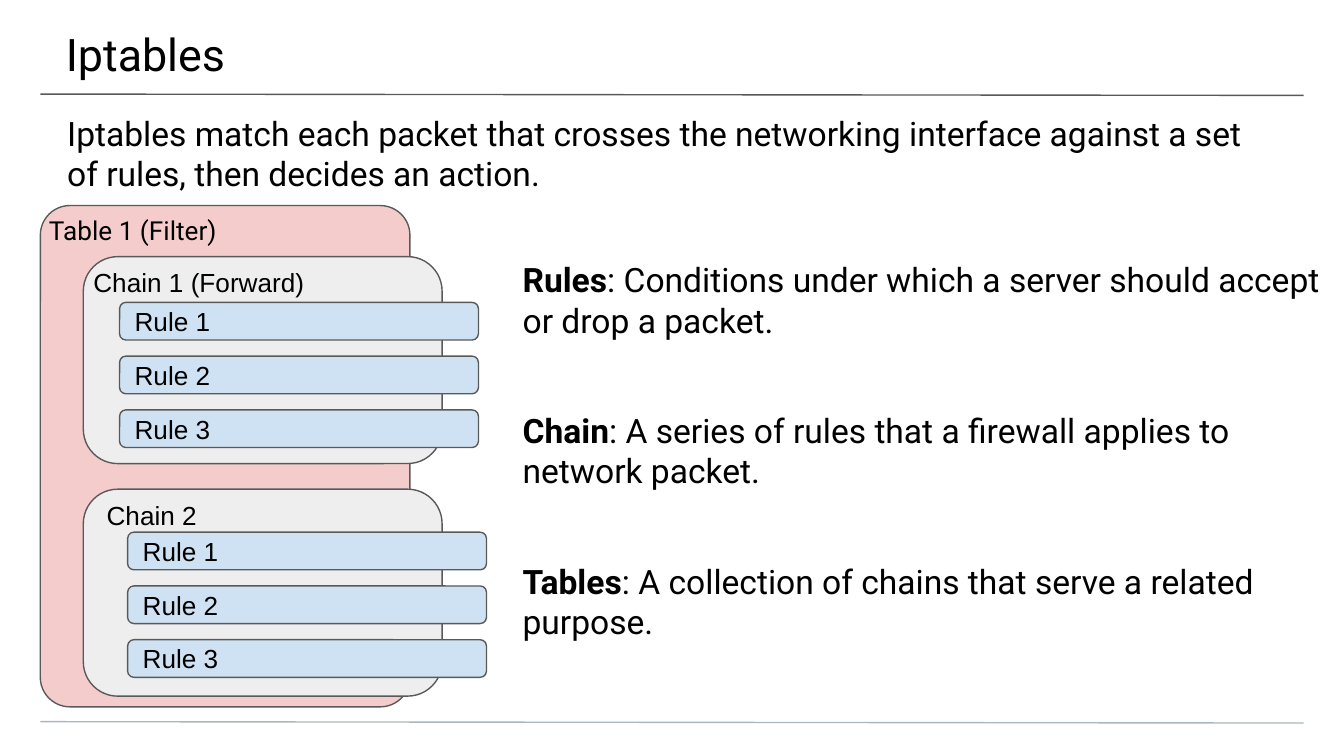
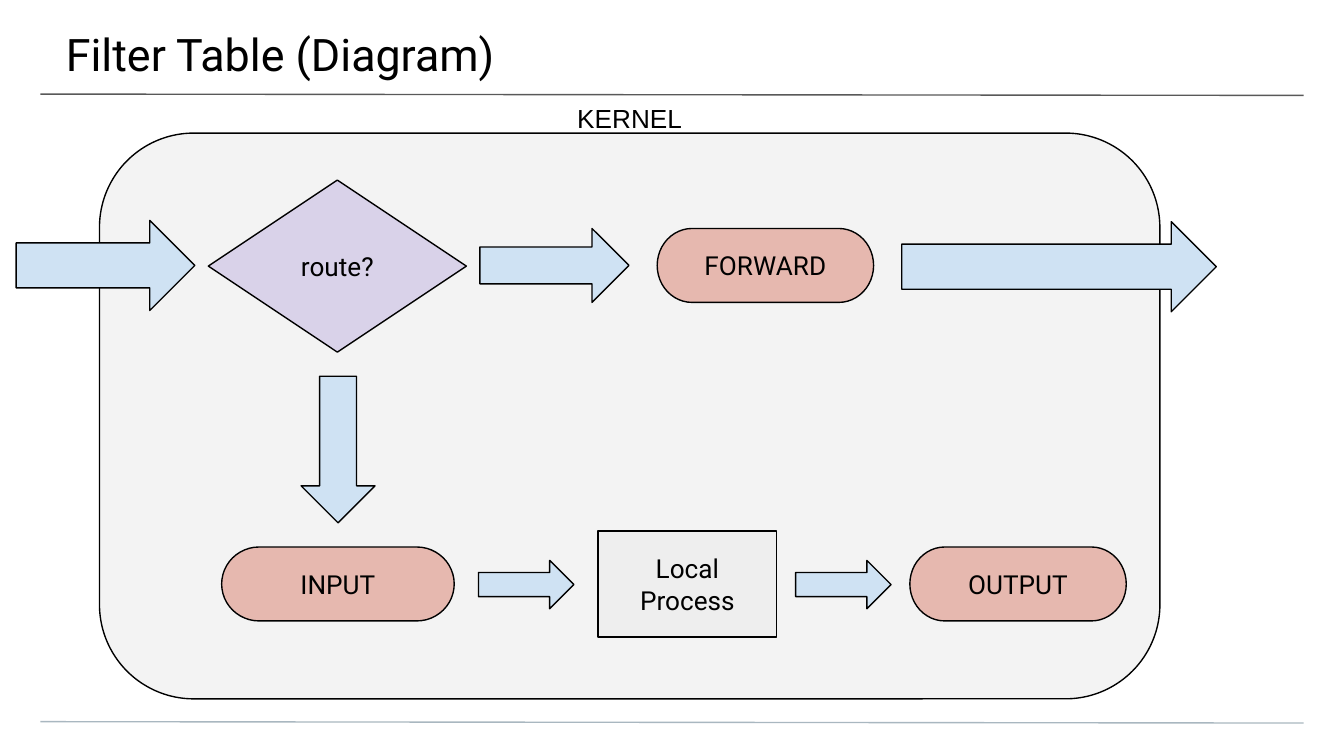
"""Builds two slides on iptables: its building blocks and the filter table diagram."""
from pptx import Presentation, util as u
from pptx.dml.color import RGBColor
from pptx.enum import shapes, text
from pptx.oxml.ns import qn
from lxml import etree

rgb = RGBColor.from_string
BLACK, GREY, FOOTER = "000000", "595959", "A9B7C0"
BLUE, PINK, PURPLE, RED = "CFE2F3", "F4CCCC", "D9D2E9", "E6B8AF"
PANEL, KERNEL = "EEEEEE", "F3F3F3"
KIND = shapes.MSO_SHAPE
LEFT, CENTER = text.PP_ALIGN.LEFT, text.PP_ALIGN.CENTER
TOP, MIDDLE = text.MSO_ANCHOR.TOP, text.MSO_ANCHOR.MIDDLE
EVEN = (0.1, 0.1, 0.1, 0.1)


def format_text(sp, size=14, font="Roboto", inset=EVEN, align=LEFT, anchor=TOP):
    tf = sp.text_frame
    tf.word_wrap = True
    tf.vertical_anchor = anchor
    tf.margin_left, tf.margin_top, tf.margin_right, tf.margin_bottom = map(u.Inches, inset)
    for p in tf.paragraphs:
        p.alignment = align
        for r in p.runs:
            r.font.size = u.Pt(size)
            r.font.name = font
            r.font.color.rgb = rgb(BLACK)


def add_box(s, kind, at, fill, line=BLACK, label=""):
    sp = s.shapes.add_shape(kind, *map(u.Inches, at))
    sp.shadow.inherit = False
    sp.fill.solid()
    sp.fill.fore_color.rgb = rgb(fill)
    sp.line.color.rgb = rgb(line)
    sp.line.width = u.Pt(0.75)
    if label:
        sp.text_frame.text = label
    return sp


prs = Presentation()
prs.slide_width = u.Inches(10)
prs.slide_height = prs.slide_width * 9 // 16

for title in ("Iptables", "Filter Table (Diagram)"):
    s = prs.slides.add_slide(prs.slide_layouts[6])
    for y, color in ((0.7, GREY), (5.37, FOOTER)):
        ends = map(u.Inches, (0.3, y, 9.7, y + 0.01))
        rule = s.shapes.add_connector(shapes.MSO_CONNECTOR.STRAIGHT, *ends)
        rule.line.color.rgb = rgb(color)
        rule.line.width = u.Pt(0.75)
        etree.SubElement(rule._element.spPr, qn("a:effectLst"))
    sp = s.shapes.add_textbox(*map(u.Inches, (-0.01, 0, 10.03, 0.58)))
    sp.text_frame.text = title
    format_text(sp, 24, inset=(0.5, 0.2, 0.3, 0.1))

iptables, diagram = prs.slides

s = iptables
sp = s.shapes.add_textbox(*map(u.Inches, (0, 0.74, 10, 0.4)))
sp.text_frame.text = (
    "Iptables match each packet that crosses the networking interface "
    "against a set of rules, then decides an action."
)
format_text(sp, 18, inset=(0.5, 0.1, 0.5, 0))

sp = s.shapes.add_textbox(*map(u.Inches, (3.79, 1.53, 6.21, 3.84)))
definitions = (
    ("Rules", "Conditions under which a server should accept or drop a packet."),
    ("Chain", "A series of rules that a firewall applies to network packet."),
    ("Tables", "A collection of chains that serve a related purpose."),
)
tf = sp.text_frame
for i, (term, meaning) in enumerate(definitions):
    p = tf.add_paragraph() if i else tf.paragraphs[0]
    if i:
        p.space_before = u.Pt(37.5)
    r = p.add_run()
    r.text = term
    r.font.bold = True
    p.add_run().text = f": {meaning}"
format_text(sp, 18, inset=(0.1, 0.4, 0.1, 0.1))

sp = add_box(s, KIND.ROUNDED_RECTANGLE, (0.3, 1.53, 2.75, 3.73), PINK, GREY, "Table 1 (Filter)")
sp.adjustments[0] = 0.08
format_text(sp, inset=(0, 0, 0, 0))

chains = (
    ("Chain 1 (Forward)", 1.91, 0.89, 2.25, (0, 0, 0, 0)),
    ("Chain 2", 3.64, 0.95, 3.96, (0.1, 0, 0.1, 0.1)),
)
for label, top, rule_left, rule_top, inset in chains:
    sp = add_box(s, KIND.ROUNDED_RECTANGLE, (0.62, top, 2.67, 1.54), PANEL, GREY, label)
    format_text(sp, font="Arial", inset=inset)
    for i in range(3):
        at = (rule_left, rule_top + 0.4 * i, 2.67, 0.28)
        sp = add_box(s, KIND.ROUNDED_RECTANGLE, at, BLUE, GREY, f"Rule {i + 1}")
        format_text(sp, font="Arial", anchor=MIDDLE)

s = diagram
add_box(s, KIND.ROUNDED_RECTANGLE, (0.74, 0.99, 7.89, 4.21), KERNEL)

steps = (
    ("route?", KIND.FLOWCHART_DECISION, (1.55, 1.34, 1.92, 1.28), PURPLE, (0, 0.1, 0, 0.1)),
    ("FORWARD", KIND.FLOWCHART_TERMINATOR, (4.89, 1.7, 1.61, 0.55), RED, EVEN),
    ("INPUT", KIND.FLOWCHART_TERMINATOR, (1.65, 4.07, 1.73, 0.55), RED, EVEN),
    ("OUTPUT", KIND.FLOWCHART_TERMINATOR, (6.77, 4.07, 1.61, 0.55), RED, EVEN),
    ("Local Process", KIND.RECTANGLE, (4.45, 3.95, 1.33, 0.79), PANEL, EVEN),
)
for label, kind, at, fill, inset in steps:
    sp = add_box(s, kind, at, fill, label=label)
    format_text(sp, inset=inset, align=CENTER, anchor=MIDDLE)

arrows = (
    (0.12, 1.64, 1.33, 0.67, 0),
    (3.57, 1.7, 1.11, 0.55, 0),
    (6.71, 1.65, 2.34, 0.67, 0),
    (1.97, 3.07, 1.09, 0.55, 90),
    (3.56, 4.17, 0.71, 0.36, 0),
    (5.92, 4.17, 0.71, 0.36, 0),
)
for *at, turn in arrows:
    add_box(s, KIND.RIGHT_ARROW, at, BLUE).rotation = turn

sp = s.shapes.add_textbox(*map(u.Inches, (2.43, 0.66, 4.51, 0.25)))
sp.text_frame.text = "KERNEL"
format_text(sp, font="Arial", align=CENTER)

prs.save("out.pptx")
